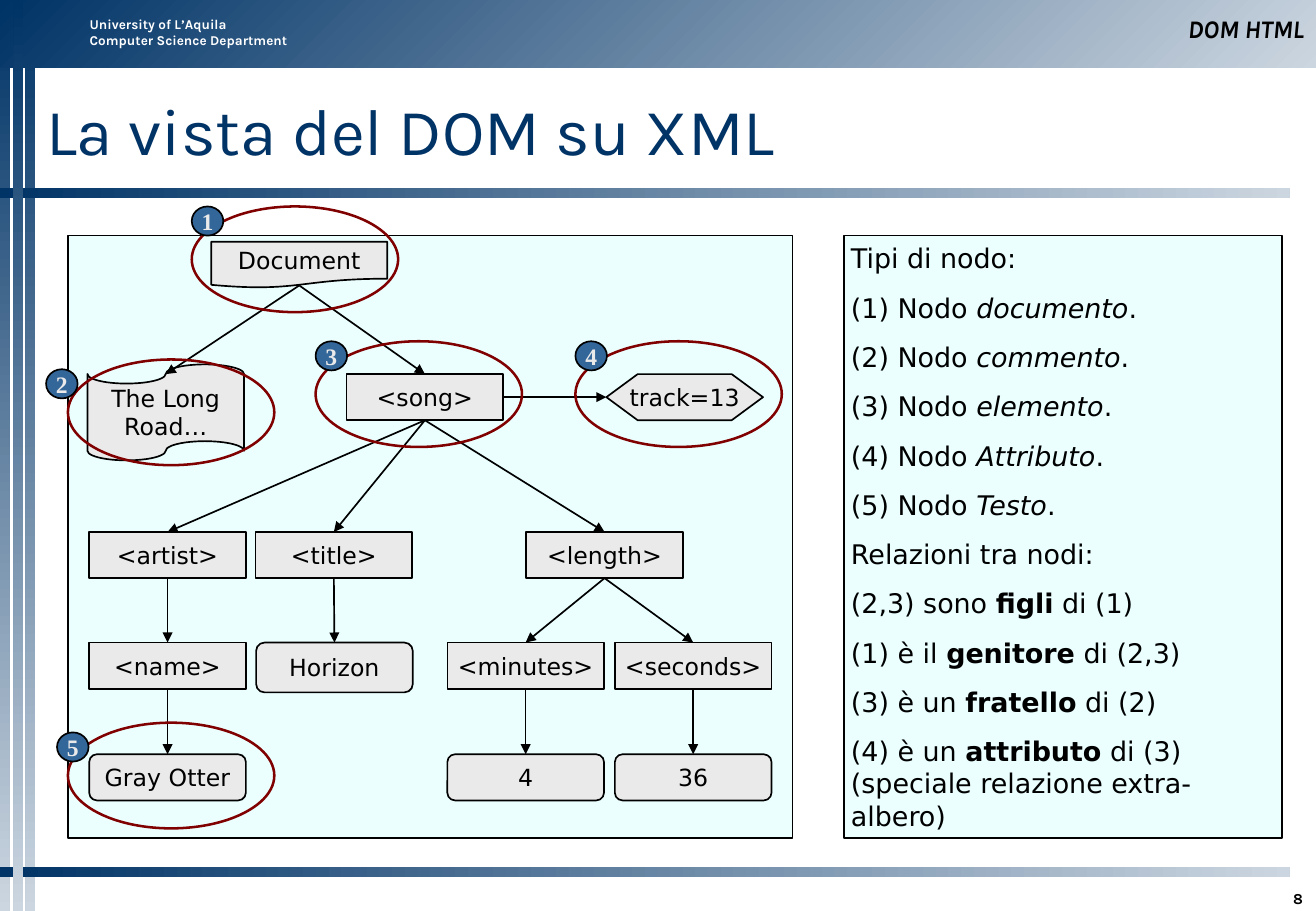
from dataclasses import dataclass
from lxml.etree import SubElement
from pptx import Presentation
from pptx.dml.color import RGBColor
from pptx.enum.shapes import MSO_CONNECTOR, MSO_SHAPE as SH
from pptx.enum.text import MSO_ANCHOR as ANCHOR, PP_ALIGN as ALIGN
from pptx.oxml.ns import qn
from pptx.util import Inches, Pt


@dataclass(frozen=True)
class Theme:
    navy: str = "003366"
    mist: str = "CCD6E0"
    badge: str = "336699"
    ring: str = "800000"
    panel: str = "EBFFFF"
    node: str = "EAEAEA"
    black: str = "000000"
    white: str = "FFFFFF"
    head: str = "Karla"
    body: str = "DejaVu Sans"
    digit: str = "Times New Roman"
    title_pt: float = 39
    list_pt: float = 16
    topic_pt: float = 15
    node_pt: float = 14
    page_pt: float = 9
    dept_pt: float = 8


T = Theme()
W, H = 10.84, 7.5

# Content: each line is a list of (text, style), style "b" or "i"
DEPARTMENT = ["University of L’Aquila", "Computer Science Department"]
TOPIC, TITLE, PAGE = "DOM HTML", "La vista del DOM su XML", "8"
KINDS = ["documento", "commento", "elemento", "Attributo", "Testo"]
RELATIONS = [("(2,3) sono ", "figli", " di (1)"),
             ("(1) è il ", "genitore", " di (2,3)"),
             ("(3) è un ", "fratello", " di (2)"),
             ("(4) è un ", "attributo", " di (3) (speciale relazione extra-albero)")]
LEGEND = ([[("Tipi di nodo:", "")]]
          + [[(f"({i}) Nodo ", ""), (kind, "i"), (".", "")] for i, kind in enumerate(KINDS, 1)]
          + [[("Relazioni tra nodi:", "")]]
          + [[(a, ""), (b, "b"), (c, "")] for a, b, c in RELATIONS])

# Tree grid: column centres and row tops
COL = dict(artist=1.38, title=2.75, root=2.47, song=3.5, minutes=4.33,
           length=4.98, track=5.64, seconds=5.71)
ROW = [1.99, 3.08, 4.38, 5.29, 6.21]
NODE_W, NODE_H = 1.29, 0.38
BOX, LEAF = SH.FLOWCHART_PROCESS, SH.FLOWCHART_ALTERNATE_PROCESS

# key: (text, shape, column, row)
NODES = {
    "song": ("<song>", BOX, "song", 1),
    "artist": ("<artist>", BOX, "artist", 2),
    "title": ("<title>", BOX, "title", 2),
    "length": ("<length>", BOX, "length", 2),
    "minutes": ("<minutes>", BOX, "minutes", 3),
    "seconds": ("<seconds>", BOX, "seconds", 3),
    "name": ("<name>", BOX, "artist", 3),
    "band": ("Gray Otter", LEAF, "artist", 4),
    "song title": ("Horizon", LEAF, "title", 3),
    "4": ("4", LEAF, "minutes", 4),
    "36": ("36", LEAF, "seconds", 4),
    "track": ("track=13", SH.FLOWCHART_PREPARATION, "track", 1),
    "document": ("Document", SH.FLOWCHART_DOCUMENT, "root", 0),
    "comment": ("The Long Road…", SH.FLOWCHART_PUNCHED_TAPE, "artist", 1),
}
# Nodes with their own left, top, width, height
OWN_BOX = {"document": (1.74, ROW[0], 1.45, NODE_H), "comment": (0.72, 3, NODE_W, 0.79),
           "song title": (2.11, ROW[3], NODE_W, 0.41)}
CHILDREN = {"document": ["comment", "song"], "song": ["artist", "title", "length"],
            "artist": ["name"], "name": ["band"], "title": ["song title"],
            "length": ["minutes", "seconds"], "minutes": ["4"], "seconds": ["36"]}

# Left and top of each ring, then of its numbered badge
RINGS = [((1.58, 1.7), (1.58, 1.7)), ((0.56, 2.96), (0.38, 3.04)),
         ((2.6, 2.81), (2.6, 2.81)), ((4.74, 2.81), (4.74, 2.81)),
         ((0.56, 5.95), (0.47, 6.03))]

prs = Presentation()
prs.slide_width, prs.slide_height = Inches(W), Inches(H)
s = prs.slides.add_slide(prs.slide_layouts[6])


def rgb(value):
    return RGBColor.from_string(value)


def shape(kind, box, fill=None, line=None, width=1):
    sp = s.shapes.add_shape(kind, *map(Inches, box))
    sp.shadow.inherit = False
    if fill:
        sp.fill.solid()
        sp.fill.fore_color.rgb = rgb(fill)
    else:
        sp.fill.background()
    if line:
        sp.line.color.rgb = rgb(line)
        sp.line.width = Pt(width)
    else:
        sp.line.fill.background()
    return sp


def gradient_bar(box, angle):
    fill = shape(SH.RECTANGLE, box).fill
    fill.gradient()
    fill.gradient_angle = (360 - angle) % 360
    for stop, color in zip(fill.gradient_stops, (T.navy, T.mist)):
        stop.color.rgb = rgb(color)


def write(sp, lines, size, font=T.body, color=T.black, style="", align=ALIGN.LEFT,
          anchor=ANCHOR.MIDDLE, inset=(0.1, 0.05, 0.1, 0.05), before=0, wrap=True):
    tf = sp.text_frame
    tf.word_wrap, tf.vertical_anchor = wrap, anchor
    tf.margin_left, tf.margin_top, tf.margin_right, tf.margin_bottom = map(Inches, inset)
    for i, line in enumerate(lines):
        p = tf.add_paragraph() if i else tf.paragraphs[0]
        p.alignment, p.space_before = align, Pt(before)
        for text, mark in line:
            r = p.add_run()
            r.text = text
            r.font.name, r.font.size, r.font.color.rgb = font, Pt(size), rgb(color)
            r.font.bold, r.font.italic = "b" in style + mark, "i" in style + mark


def label(box, text, size, **look):
    write(s.shapes.add_textbox(*map(Inches, box)), [[(text, "")]], size, font=T.head, **look)


def arrow(start, start_site, end, end_site):
    c = s.shapes.add_connector(MSO_CONNECTOR.STRAIGHT, 0, 0, 0, 0)
    c.begin_connect(node[start], start_site)
    c.end_connect(node[end], end_site)
    # Curved outlines meet the arrow inside their box
    if start == "document":
        c.begin_y = Inches(2.35)
    if end == "comment":
        c.end_y = Inches(3.08)
    c.line.color.rgb, c.line.width = rgb(T.black), Pt(1)
    SubElement(c.line._get_or_add_ln(), qn("a:tailEnd"), type="triangle")
    SubElement(c._element.spPr, qn("a:effectLst"))


# Frame of bars
BAR = 0.08
for x in (0, 0.21):
    gradient_bar((x, 0, BAR, H), 90)
gradient_bar((0, 0, W, 0.56), 45)
for y in (1.55, 7.14):
    gradient_bar((0, y, W * 0.98, BAR), 0)
gradient_bar((0.11, 0, BAR, H), 90)

# Header, title and page number
dept = s.shapes.add_textbox(*map(Inches, (0.64, 0.08, 2.01, 0.37)))
write(dept, [[(line, "")] for line in DEPARTMENT], T.dept_pt, font=T.head, color=T.white,
      style="b", anchor=ANCHOR.TOP)
label((0.38, 0.58, 10.27, 0.96), TITLE, T.title_pt, color=T.navy, inset=(0, 0, 0, 0))
label((9.65, 7.22, 1.18, 0.25), PAGE, T.page_pt, style="b", align=ALIGN.RIGHT,
      anchor=ANCHOR.BOTTOM, inset=(0.1, 0.05, 0.1, 0))
label((5.6, 0.08, 5.24, 0.33), TOPIC, T.topic_pt, style="bi", align=ALIGN.RIGHT,
      anchor=ANCHOR.BOTTOM)

# Tree nodes
shape(SH.RECTANGLE, (0.56, 1.94, 5.97, 4.96), T.panel, T.black)
node = {}
for key, (text, kind, col, row) in NODES.items():
    box = OWN_BOX.get(key, (COL[col] - NODE_W / 2, ROW[row], NODE_W, NODE_H))
    node[key] = shape(kind, box, T.node, T.black)
    write(node[key], [[(text, "")]], T.node_pt, align=ALIGN.CENTER, before=8.8,
          wrap=key in ("comment", "song title"))

# Arrows: bottom to top for children, side to side for the attribute
for parent, children in CHILDREN.items():
    for child in children:
        arrow(parent, 2, child, 0)
arrow("song", 3, "track", 1)

# Legend panel
write(shape(SH.RECTANGLE, (6.95, 1.94, 3.61, 4.96), T.panel, T.black), LEGEND, T.list_pt,
      inset=(0.06, 0.05, 0.06, 0.05), before=10)

# Rings and numbered badges
for number, (ring, badge) in enumerate(RINGS, 1):
    shape(SH.OVAL, (*ring, 1.7, 0.87), line=T.ring, width=1.5)
    write(shape(SH.OVAL, (*badge, 0.26, 0.24), T.badge, T.black), [[(str(number), "")]],
          T.node_pt, font=T.digit, color=T.node, style="b", align=ALIGN.CENTER,
          inset=(0, 0, 0, 0), before=8.8, wrap=False)

prs.save("out.pptx")
